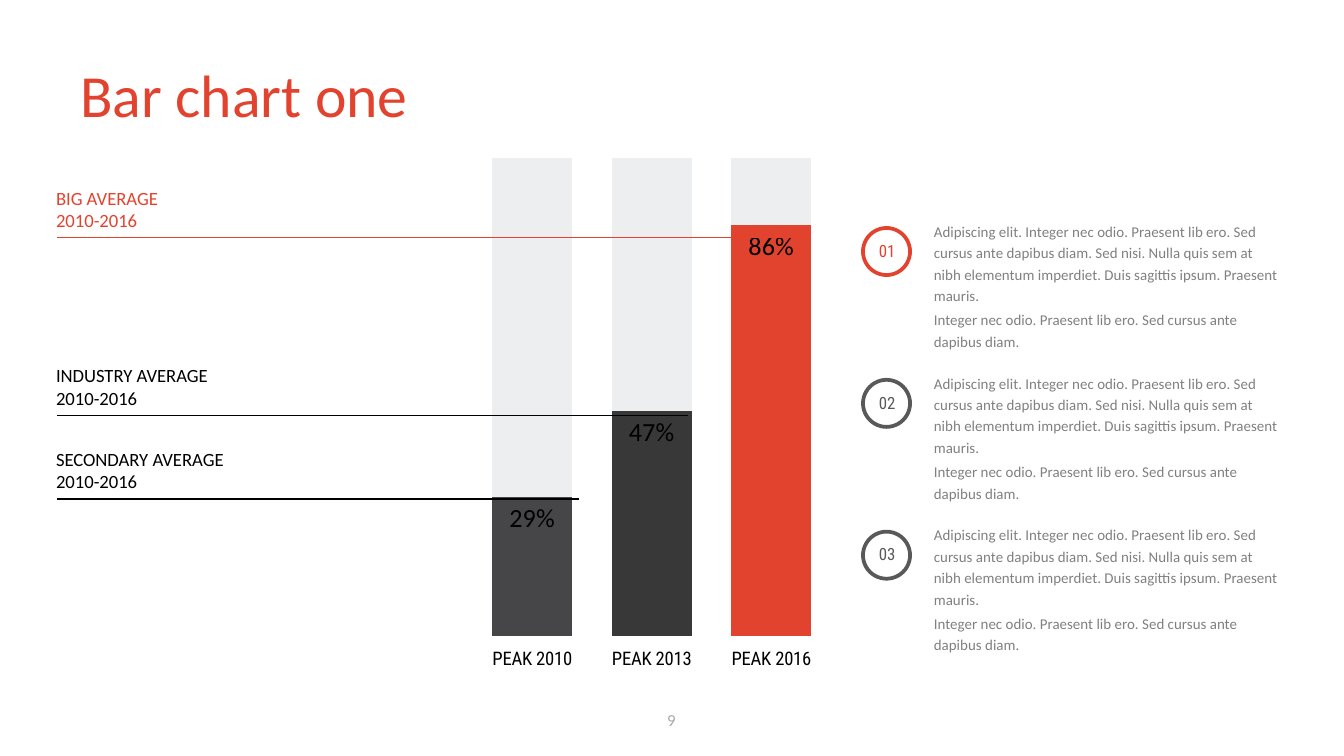
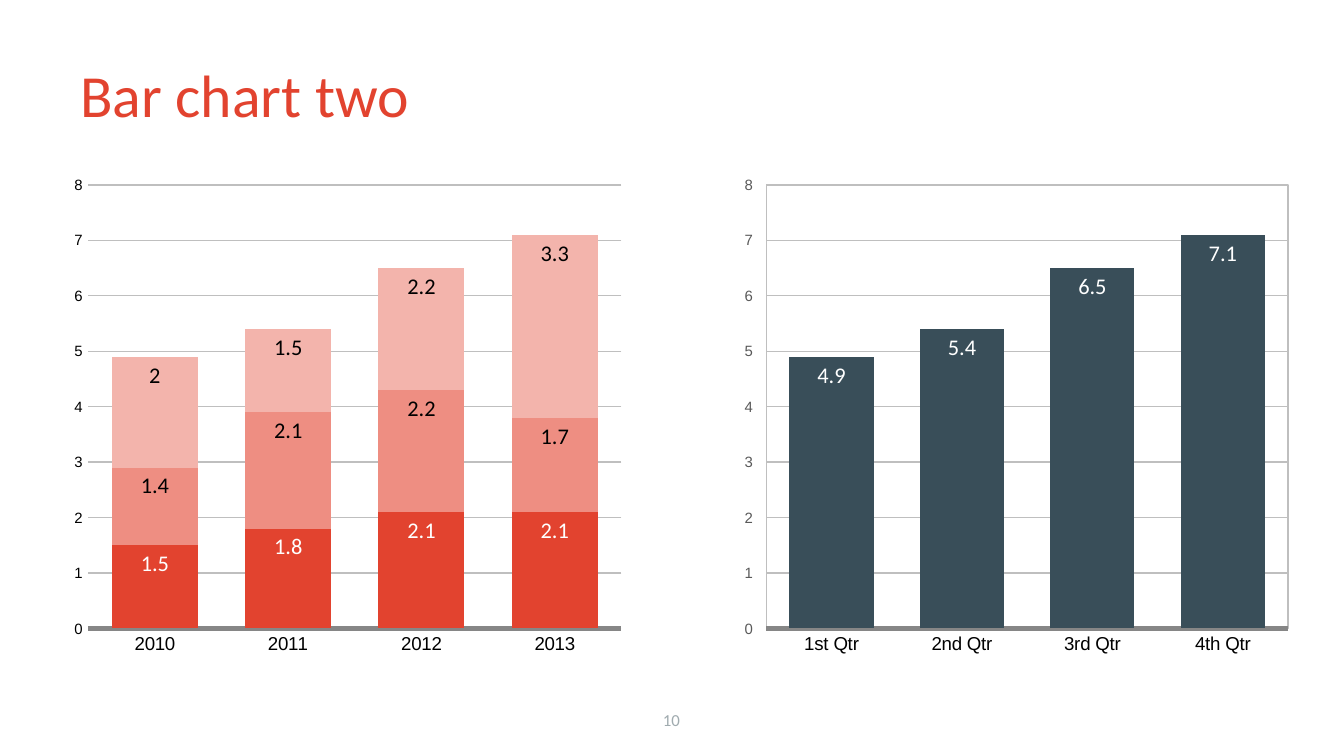
from lxml.etree import SubElement
from pptx import Presentation
from pptx.chart.data import CategoryChartData
from pptx.dml.color import RGBColor
from pptx.enum.chart import XL_CHART_TYPE as ChartType
from pptx.enum.chart import XL_LABEL_POSITION as LabelPosition
from pptx.enum.chart import XL_TICK_MARK as Tick
from pptx.enum.shapes import MSO_CONNECTOR as Connector
from pptx.enum.shapes import MSO_SHAPE as Shape
from pptx.enum.text import MSO_ANCHOR as Anchor
from pptx.enum.text import PP_ALIGN as Align
from pptx.oxml import parse_xml
from pptx.oxml.ns import nsdecls, qn
from pptx.util import Cm, Pt


class Theme:
    red = RGBColor(0xE2, 0x43, 0x2F)
    coral = RGBColor(0xEE, 0x8E, 0x82)
    pink = RGBColor(0xF3, 0xB4, 0xAC)
    slate = RGBColor(0x39, 0x4E, 0x59)
    charcoal = RGBColor(0x46, 0x45, 0x47)
    coal = RGBColor(0x39, 0x38, 0x39)
    ring_grey = RGBColor(0x59, 0x59, 0x59)
    body_grey = RGBColor(0x80, 0x80, 0x80)
    axis_grey = RGBColor(0x86, 0x86, 0x86)
    page_grey = RGBColor(0xA0, 0xAB, 0xAF)
    bar_grey = RGBColor(0xA2, 0xA2, 0xA2)
    grid_grey = RGBColor(0xBF, 0xBF, 0xBF)
    remainder = RGBColor(0xEC, 0xEE, 0xEF)
    black = RGBColor(0, 0, 0)
    white = RGBColor(0xFF, 0xFF, 0xFF)

    title = {"name": "Calibri", "size": Pt(32)}
    page_number = {"name": "Calibri", "size": Pt(9)}
    caption = {"name": "Calibri", "size": Pt(10)}
    body = {"name": "Calibri", "size": Pt(8)}
    badge = {"name": "Roboto Condensed", "size": Pt(9)}
    peak = {"name": "Roboto Condensed", "size": Pt(10)}
    percent = {"name": "Calibri", "size": Pt(14)}
    value = {"name": "Calibri", "size": Pt(12)}
    category = {"name": "Arial", "size": Pt(10)}
    scale = {"name": "Arial", "size": Pt(8)}


def add_text(shapes, box, lines, style, colour, frame_format=None, para_format=None, gap=0):
    """Add one paragraph per line; gap is the space in points between paragraphs."""
    frame = shapes.add_textbox(*map(Cm, box)).text_frame
    for key, value in {"word_wrap": True, **(frame_format or {})}.items():
        setattr(frame, key, value)
    for index, line in enumerate(lines):
        para = frame.paragraphs[0] if index == 0 else frame.add_paragraph()
        for key, value in (para_format or {}).items():
            setattr(para, key, value)
        if index:
            para.space_before = Pt(gap)
        span = para.add_run()
        span.text = line
        for key, value in style.items():
            setattr(span.font, key, value)
        span.font.color.rgb = colour


def add_columns(page, box, plot_box, kind, categories, series_rows, gap, label_style,
                number_format, category_style):
    """Add stacked columns; plot_box holds fractions of the chart: x, y, w, h."""
    data = CategoryChartData()
    data.categories = categories
    for name, values, _, _ in series_rows:
        data.add_series(name, values)
    chart = page.shapes.add_chart(kind, *map(Cm, box), data).chart
    chart.has_legend = chart.has_title = False
    plot = chart.plots[0]
    for key, value in {"gap_width": gap, "overlap": 100, "vary_by_categories": False}.items():
        setattr(plot, key, value)

    fonts = [(chart.font, label_style, Theme.black),
             (chart.category_axis.tick_labels.font, category_style, Theme.black)]
    for series, (_, _, fill, label_colour) in zip(plot.series, series_rows):
        series.invert_if_negative = False
        series.format.fill.solid()
        series.format.fill.fore_color.rgb = fill
        if label_colour is not None:
            labels = series.data_labels
            for key, value in {"show_value": True, "position": LabelPosition.INSIDE_END,
                               "number_format": number_format,
                               "number_format_is_linked": False}.items():
                setattr(labels, key, value)
            fonts.append((labels.font, label_style, label_colour))
    for font, style, colour in fonts:
        for key, value in style.items():
            setattr(font, key, value)
        font.color.rgb = colour

    plot_area = chart.element.xpath(".//c:plotArea")[0]
    for layout in plot_area.findall(qn("c:layout")):
        plot_area.remove(layout)
    sizes = "".join(f'<c:{key} val="{value}"/>' for key, value in zip("xywh", plot_box))
    plot_area.insert(0, parse_xml(
        f'<c:layout {nsdecls("c")}><c:manualLayout><c:layoutTarget val="inner"/>'
        f'<c:xMode val="edge"/><c:yMode val="edge"/>{sizes}</c:manualLayout></c:layout>'))
    return chart


deck = Presentation()
deck.slide_width, deck.slide_height = Cm(25.4), Cm(14.29)
pages = []
for number, title in [(9, "Bar chart one"), (10, "Bar chart two")]:
    page = deck.slides.add_slide(deck.slide_layouts[6])
    middle = {"vertical_anchor": Anchor.MIDDLE}
    add_text(page.shapes, (1.27, 0.58, 22.86, 2.39), [title], Theme.title, Theme.red, middle)
    add_text(page.shapes, (9.73, 13.23, 5.92, 0.76), [str(number)], Theme.page_number,
             Theme.page_grey, middle, {"alignment": Align.CENTER})
    pages.append(page)
peaks_page, quarters_page = pages

# Peaks: share of each column against 100%
peaks = add_columns(
    peaks_page, (8.79, 2.79, 7.06, 10.03), (0.02, 0.02, 0.96, 0.9),
    ChartType.COLUMN_STACKED_100, ["PEAK 2010", "PEAK 2013", "PEAK 2016"],
    [("Series 1", (0.29, 0.47, 0.86), Theme.bar_grey, Theme.black),
     ("Series 2", (0.71, 0.53, 0.14), Theme.remainder, None)],
    50, Theme.percent, "0%", Theme.peak)
peaks.value_axis.visible = False
peaks.value_axis.has_major_gridlines = False
peaks.category_axis.major_tick_mark = Tick.OUTSIDE
peaks.category_axis.format.line.fill.background()
for index, colour in enumerate([Theme.charcoal, Theme.coal, Theme.red]):
    fill = peaks.plots[0].series[0].points[index].format.fill
    fill.solid()
    fill.fore_color.rgb = colour

# Averages: a caption over a rule that reaches its column
for caption, top, rule_end, colour in [
    ("BIG AVERAGE", 3.4, 15.04, Theme.red),
    ("INDUSTRY AVERAGE", 6.76, 13, Theme.black),
    ("SECONDARY AVERAGE", 8.34, 10.95, Theme.black),
]:
    add_text(peaks_page.shapes, (0.81, top, 7.29, 1.12), [caption, "2010-2016"],
             Theme.caption, colour)
    rule_top = Cm(top + 1.09)
    rule = peaks_page.shapes.add_connector(
        Connector.STRAIGHT, Cm(rule_end), rule_top, Cm(1.07), rule_top)
    rule.line.color.rgb = colour
    rule.line.width = Pt(0.75)
    SubElement(rule.element.spPr, qn("a:effectLst"))

# Numbered notes
note = [
    "Adipiscing elit. Integer nec odio. Praesent lib ero. Sed cursus ante dapibus diam. "
    "Sed nisi. Nulla quis sem at nibh elementum imperdiet. Duis sagittis ipsum. "
    "Praesent mauris.",
    "Integer nec odio. Praesent lib ero. Sed cursus ante dapibus diam.",
]
for index, colour in enumerate([Theme.red, Theme.ring_grey, Theme.ring_grey]):
    top = 4.01 + 2.87 * index
    shapes = peaks_page.shapes.add_group_shape().shapes
    add_text(shapes, (17.4, top, 7.06, 2.59), note, Theme.body, Theme.body_grey,
             para_format={"line_spacing": 1.2}, gap=1.6)
    ring = shapes.add_shape(Shape.OVAL, Cm(16.31), Cm(top + 0.3), Cm(0.89), Cm(0.89))
    ring.shadow.inherit = False
    ring.fill.solid()
    ring.fill.fore_color.rgb = Theme.white
    ring.line.color.rgb = colour
    ring.line.width = Pt(2)
    add_text(shapes, (16.31, top + 0.41, 0.91, 0.64), [f"{index + 1:02}"], Theme.badge,
             colour, para_format={"alignment": Align.CENTER})

# Two stacked charts on the same scale
years = ["2010", "2011", "2012", "2013"]
quarters = ["1st Qtr", "2nd Qtr", "3rd Qtr", "4th Qtr"]
year_rows = [
    ("Series 1", (1.5, 1.8, 2.1, 2.1), Theme.red, Theme.white),
    ("Series 2", (1.4, 2.1, 2.2, 1.7), Theme.coral, Theme.black),
    ("Series 3", (2, 1.5, 2.2, 3.3), Theme.pink, Theme.black),
]
quarter_rows = [("Series 1", (4.9, 5.4, 6.5, 7.1), Theme.slate, Theme.white)]
for left, plot_left, plot_width, categories, rows, tick, scale_colour in [
    (1.24, 0.04, 0.94, years, year_rows, Tick.NONE, Theme.black),
    (13.84, 0.06, 0.92, quarters, quarter_rows, Tick.OUTSIDE, Theme.ring_grey),
]:
    chart = add_columns(
        quarters_page, (left, 3.12, 10.72, 9.42), (plot_left, 0.04, plot_width, 0.89),
        ChartType.COLUMN_STACKED, categories, rows, 55, Theme.value, "General",
        Theme.category)
    chart.category_axis.major_tick_mark = Tick.NONE
    base_line = chart.category_axis.format.line
    base_line.color.rgb = Theme.axis_grey
    base_line.width = Pt(3)
    axis = chart.value_axis
    for key, value in {"minimum_scale": 0, "maximum_scale": 8, "major_unit": 1,
                       "major_tick_mark": tick}.items():
        setattr(axis, key, value)
    axis.format.line.fill.background()
    axis.major_gridlines.format.line.color.rgb = Theme.grid_grey
    axis.major_gridlines.format.line.width = Pt(0.75)
    for key, value in Theme.scale.items():
        setattr(axis.tick_labels.font, key, value)
    axis.tick_labels.font.color.rgb = scale_colour

# The quarter chart, last in the loop, has a framed plot
chart.element.xpath(".//c:plotArea")[0].append(parse_xml(
    f'<c:spPr {nsdecls("c", "a")}><a:noFill/><a:ln w="{Pt(0.75)}"><a:solidFill>'
    f'<a:srgbClr val="{Theme.grid_grey}"/></a:solidFill></a:ln></c:spPr>'))

deck.save("out.pptx")
